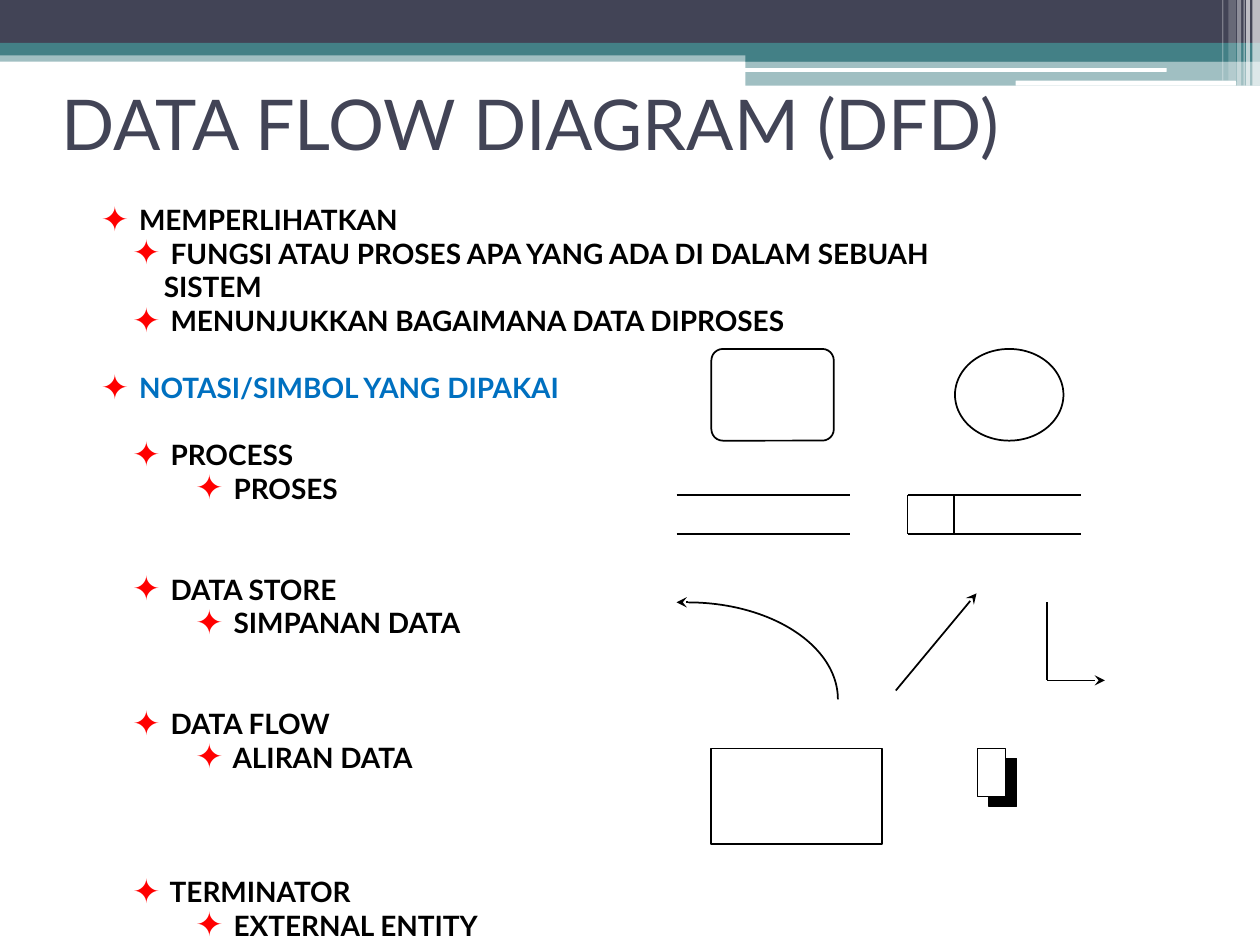
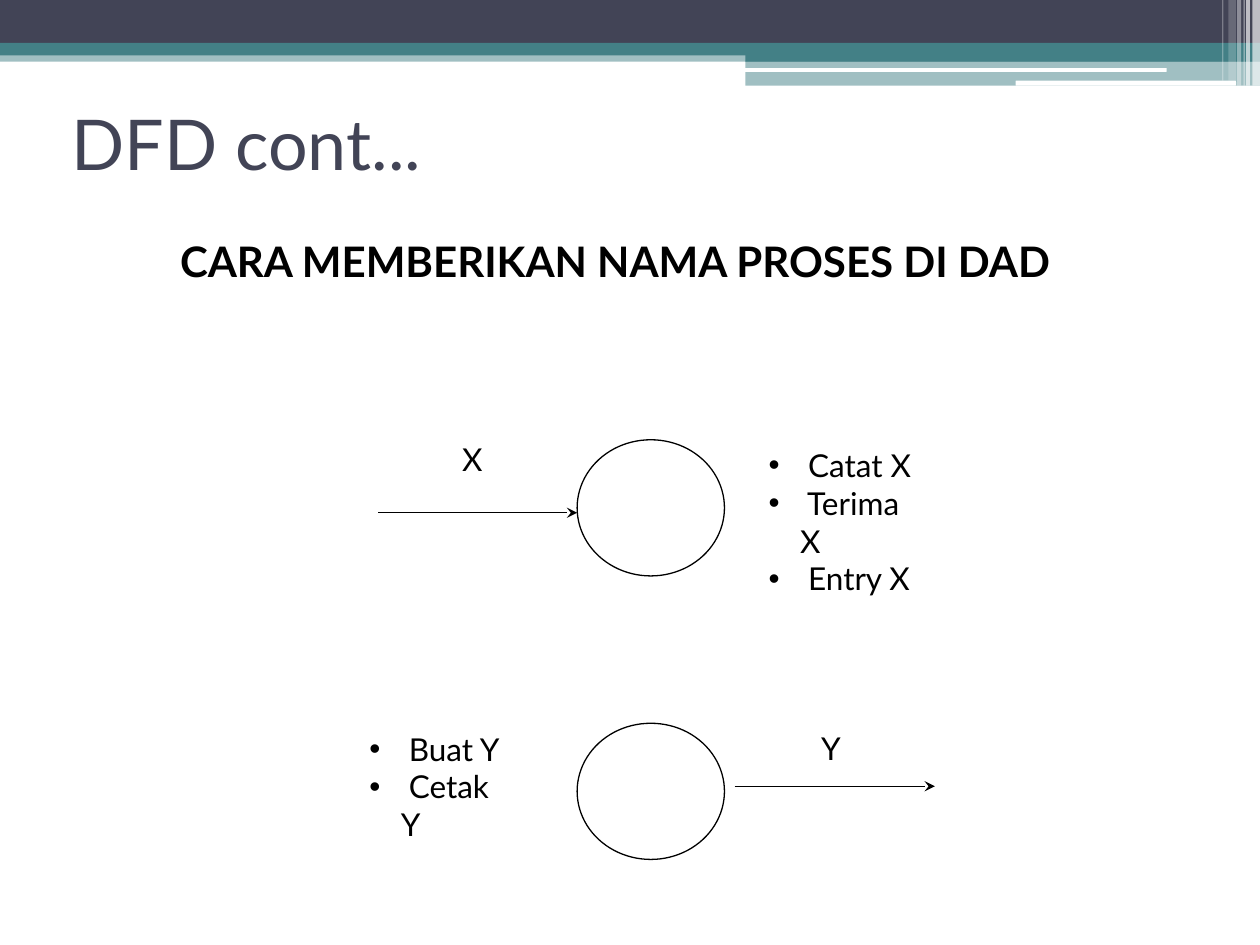
"""Build two slides on data flow diagrams and how to name their processes."""
from lxml import etree
from pptx import Presentation
from pptx.dml.color import RGBColor
from pptx.enum import shapes as kinds, text as txt
from pptx.oxml import ns
from pptx.util import Pt

NAVY = RGBColor(0x42, 0x44, 0x56)
TEAL = RGBColor(0x43, 0x80, 0x86)
WHITE = RGBColor(0xFF, 0xFF, 0xFF)
BLACK = RGBColor(0, 0, 0)
RED = RGBColor(0xFF, 0, 0)
BLUE = RGBColor(0, 0x70, 0xC0)
FONT = "Lato"
RECT = kinds.MSO_SHAPE.RECTANGLE
ROUNDED = kinds.MSO_SHAPE.ROUNDED_RECTANGLE
OVAL = kinds.MSO_SHAPE.OVAL
ARC = kinds.MSO_SHAPE.ARC

BANDS = [
    (RECT, (0, 28.8, 720, 6.5), TEAL, 50),
    (RECT, (0, 0, 720, 24.5), NAVY, 100),
    (RECT, (0, 24.5, 720, 7.2), TEAL, 100),
    (RECT, (426, 28.1, 294, 7.2), TEAL, 100),
    (RECT, (426, 34.6, 294, 14.4), TEAL, 50),
    (ROUNDED, (425.5, 38.9, 241.2, 2.2), WHITE, 100),
    (ROUNDED, (580.3, 46.1, 126, 2.9), WHITE, 100),
]
STRIPES = [  # left, width, height, opacity
    (715.7, 4.3, 49, 65), (712.1, 2.2, 49, 65), (710.6, 0.7, 49, 60),
    (707, 2.2, 49, 40), (702, 4.3, 46.1, 20), (698.4, 0.7, 46.1, 30),
]

DFD_TITLE = "DATA FLOW DIAGRAM (DFD)"
DFD_POINTS = [  # level, wording, empty lines above, colour
    (0, "MEMPERLIHATKAN", 0, BLACK),
    (1, "FUNGSI ATAU PROSES APA YANG ADA DI DALAM SEBUAH SISTEM", 0, BLACK),
    (1, "MENUNJUKKAN BAGAIMANA DATA DIPROSES", 0, BLACK),
    (0, "NOTASI/SIMBOL YANG DIPAKAI", 1, BLUE),
    (1, "PROCESS", 1, BLACK),
    (2, "PROSES", 0, BLACK),
    (1, "DATA STORE", 2, BLACK),
    (2, "SIMPANAN DATA", 0, BLACK),
    (1, "DATA FLOW", 2, BLACK),
    (2, "ALIRAN DATA", 0, BLACK),
    (1, "TERMINATOR", 3, BLACK),
    (2, "EXTERNAL ENTITY", 0, BLACK),
]
SYMBOLS = [
    (ROUNDED, (406.5, 199.4, 70, 52.4), None, 1),
    (OVAL, (545.7, 199.4, 62, 52.4), None, 1),
    (ARC, (307.4, 344.2, 171.4, 110.8), None, 1),
    (RECT, (406.1, 427.7, 98, 54.7), None, 1),
    (RECT, (565.2, 433.4, 15.8, 27.4), BLACK, 0.75),
    (RECT, (558.7, 427.7, 15.8, 27.4), WHITE, 0.75),
]
STORE_TOP, STORE_BOTTOM = 283, 305.3
STORE_LEFTS, STORE_WIDTH = (386.6, 518.6), 99
STORE_DIVIDERS = (518.6, 545)
FLOWS = [  # start, end, arrow
    ((393, 344.2), (386.6, 344.2), True),
    ((511.9, 394.6), (558, 339.1), True),
    ((598.3, 344.2), (598.3, 388.8), False),
    ((598.3, 388.8), (631.4, 388.8), True),
]

NAMING_TITLE = "DFD cont..."
NAMING_HEADING = "CARA MEMBERIKAN NAMA PROSES DI DAD"
NAMINGS = [
    dict(top=251.3, flow=((216, 293), (329.8, 293)),
         data="X", data_at=(257, 247.7), verbs=["Catat X", "Terima X", "Entry X"],
         verbs_at=(432, 251.3, 99.4, 72)),
    dict(top=413.3, flow=((419.8, 449.3), (534.2, 449.3)),
         data="Y", data_at=(462.2, 413.3), verbs=["Buat Y", "Cetak Y"],
         verbs_at=(203.8, 413.3, 89.3, 72)),
]
PROCESS_LEFT, PROCESS_SIZE = 329.8, (84.2, 77.8)


def points(values):
    return [Pt(value) for value in values]


def put(part, box):
    part.left, part.top, part.width, part.height = points(box)


def style(paragraph, size, color=BLACK, bold=False):
    font = paragraph.font
    font.name, font.size, font.bold = FONT, Pt(size), bold
    font.color.rgb = color


def draw(slide, kind, box, fill=None, line_width=None, opacity=100):
    part = slide.shapes.add_shape(kind, *points(box))
    part.shadow.inherit = False
    if fill is None:
        part.fill.background()
    else:
        part.fill.solid()
        part.fill.fore_color.rgb = fill
        if opacity < 100:
            color = part.element.spPr.find(".//" + ns.qn("a:srgbClr"))
            etree.SubElement(color, ns.qn("a:alpha"), val=str(opacity * 1000))
    if line_width is None:
        part.line.fill.background()
    else:
        part.line.color.rgb = BLACK
        part.line.width = Pt(line_width)
    if kind == ROUNDED:
        part.adjustments[0] = 0.125 if line_width else 0.167
    return part


def connect(slide, start, end, arrow=False, width=1):
    flow = slide.shapes.add_connector(
        kinds.MSO_CONNECTOR.STRAIGHT, *points(start + end))
    flow.line.color.rgb = BLACK
    flow.line.width = Pt(width)
    if arrow:
        etree.SubElement(flow.line._get_or_add_ln(), ns.qn("a:tailEnd"), type="stealth")
    etree.SubElement(flow.element.spPr, ns.qn("a:effectLst"))


def set_title(slide, wording, box):
    title = slide.shapes.title
    put(title, box)
    title.text_frame.text = wording
    title.text_frame.vertical_anchor = txt.MSO_ANCHOR.MIDDLE
    paragraph = title.text_frame.paragraphs[0]
    paragraph.alignment = txt.PP_ALIGN.LEFT
    style(paragraph, 40, NAVY)


def set_bullet(paragraph, margin, symbol, color, percent):
    props = paragraph._p.get_or_add_pPr()
    props.set("marL", str(Pt(margin)))
    props.set("indent", str(Pt(-18)))
    tint = etree.SubElement(props, ns.qn("a:buClr"))
    etree.SubElement(tint, ns.qn("a:srgbClr"), val=str(color))
    etree.SubElement(props, ns.qn("a:buSzPct"), val=str(percent * 1000))
    etree.SubElement(props, ns.qn("a:buChar"), char=symbol)


def fill_list(body, box, items, size, bold=False, bullet=("•", BLACK, 100)):
    put(body, box)
    frame = body.text_frame
    frame.word_wrap = True
    frame.auto_size = txt.MSO_AUTO_SIZE.NONE
    for index, (level, wording, gap, color) in enumerate(items):
        paragraph = frame.paragraphs[0] if index == 0 else frame.add_paragraph()
        paragraph.text = f" {wording}"
        paragraph.level = level
        paragraph.space_before = Pt(gap * size * 1.2)
        style(paragraph, size, color, bold)
        set_bullet(paragraph, 36 * level or 18, *bullet)


def add_label(slide, wording, box, size, bold=False):
    label = slide.shapes.add_textbox(*points(box))
    label.text_frame.word_wrap = False
    label.text_frame.text = wording
    style(label.text_frame.paragraphs[0], size, bold=bold)


def add_bands(master, slide):
    stripes = [(RECT, (left, 0, width, height), WHITE, opacity)
               for left, width, height, opacity in STRIPES]
    for kind, box, fill, opacity in BANDS + stripes:
        band = draw(slide, kind, box, fill, opacity=opacity)
        master.shapes.element.append(band.element)


def build_dfd(slide):
    set_title(slide, DFD_TITLE, (28.1, 28.1, 648, 84.2))
    fill_list(slide.placeholders[1], (50.4, 112.3, 543.6, 414.7), DFD_POINTS,
              16, True, ("✦", RED, 120))
    for kind, box, fill, width in SYMBOLS:
        draw(slide, kind, box, fill, width)
    for left in STORE_LEFTS:
        for y in (STORE_TOP, STORE_BOTTOM):
            connect(slide, (left, y), (left + STORE_WIDTH, y))
    for x in STORE_DIVIDERS:
        connect(slide, (x, STORE_TOP), (x, STORE_BOTTOM))
    for flow in FLOWS:
        connect(slide, *flow)


def build_naming(slide):
    set_title(slide, NAMING_TITLE, (33.8, 39.6, 648, 84.2))
    add_label(slide, NAMING_HEADING, (95.8, 131, 537.1, 36), 24, True)
    for naming, body in zip(NAMINGS, (slide.placeholders[1], slide.placeholders[2])):
        draw(slide, OVAL, (PROCESS_LEFT, naming["top"], *PROCESS_SIZE), None, 0.75)
        connect(slide, *naming["flow"], arrow=True, width=0.75)
        add_label(slide, naming["data"], (*naming["data_at"], 25.2, 28.8), 18)
        verbs = [(0, verb, 0, BLACK) for verb in naming["verbs"]]
        fill_list(body, naming["verbs_at"], verbs, 18)


def main():
    deck = Presentation()
    deck.slide_width, deck.slide_height = Pt(720), Pt(540)
    dfd = deck.slides.add_slide(deck.slide_layouts.get_by_name("Title and Content"))
    naming = deck.slides.add_slide(deck.slide_layouts.get_by_name("Two Content"))
    add_bands(deck.slide_master, dfd)
    build_dfd(dfd)
    build_naming(naming)
    deck.save("out.pptx")


if __name__ == "__main__":
    main()
